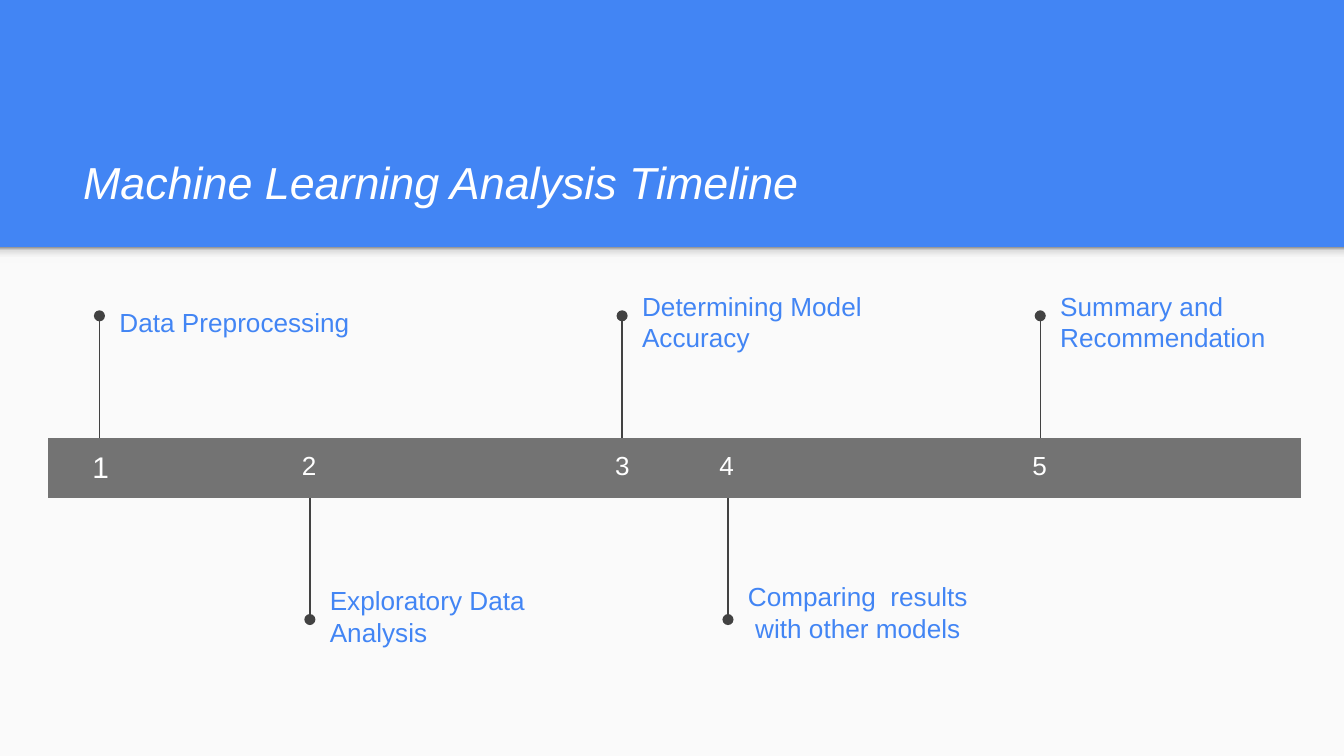
from lxml import etree
from pptx import Presentation
from pptx.dml.color import RGBColor
from pptx.enum import shapes, text
from pptx.oxml import ns
from pptx.util import Inches, Pt

# Content: column of the bar, label, top of the label box
TITLE = "Machine Learning Analysis Timeline"
COLUMNS = 12
STEPS = [
    (0, "Data Preprocessing", 2.18),
    (2, "Exploratory Data Analysis", 4.37),
    (5, "Determining Model Accuracy", 2.18),
    (6, "Comparing  results  \v with other models", 4.34),
    (9, "Summary and Recommendation", 2.18),
]
THEME = {
    "font": "Arial", "blue": "4285F4", "paper": "FAFAFA", "white": "FFFFFF",
    "line": "424242", "bar": "737373",
    "title": 24, "label": 14, "first": 16,
    "shade": [(0, "F9F9F9"), (36, "F9F9F9"), (80, "DEDEDE"), (100, "999999")],
}

# Layout in inches, on a 16:9 page
WIDTH, HEIGHT, HEADER = 10, 10 * 9 / 16, 1.84
BAR_X, BAR_Y, BAR_W, BAR_H = 0.36, 3.26, 9.32, 0.42
FIRST_X, PITCH, LOWER_SHIFT = 0.74, 7 / 9, 0.01
UPPER_DOT, LOWER_DOT, LOWER_START = 2.35, 4.61, 3.69


def color(name):
    return RGBColor.from_string(THEME[name])


def style(p, size, fill, italic=None):
    p.font.name, p.font.size, p.font.italic = THEME["font"], Pt(size), italic
    p.font.color.rgb = color(fill)


def add_rect(s, y, h):
    sp = s.shapes.add_shape(shapes.MSO_SHAPE.RECTANGLE, 0, Inches(y), Inches(WIDTH), Inches(h))
    sp.shadow.inherit = False
    sp.line.fill.background()
    return sp


def add_text(s, box, content, size, fill, anchor, italic=None):
    tf = s.shapes.add_textbox(*map(Inches, box)).text_frame
    tf.word_wrap, tf.vertical_anchor = True, anchor
    tf.margin_left = tf.margin_right = tf.margin_top = tf.margin_bottom = Inches(0.1)
    tf.text = ""
    p = tf.paragraphs[0]
    p.text = content  # a vertical tab becomes a line break
    style(p, size, fill, italic)


def add_stem(s, x, start, end):
    c = s.shapes.add_connector(shapes.MSO_CONNECTOR.STRAIGHT, *map(Inches, (x, start, x, end)))
    c.line.color.rgb, c.line.width = color("line"), Pt(0.75)
    etree.SubElement(c.line._get_or_add_ln(), ns.qn("a:tailEnd"), type="oval")
    etree.SubElement(c._element.spPr, ns.qn("a:effectLst"))


def shade(sp):
    sp.fill.gradient()
    sp.fill.gradient_angle = 90  # counter-clockwise: dark end on top
    stops = sp._element.spPr.find(".//" + ns.qn("a:gsLst"))
    for old in list(stops):
        stops.remove(old)
    for pos, rgb in THEME["shade"]:
        gs = etree.SubElement(stops, ns.qn("a:gs"), pos=str(pos * 1000))
        etree.SubElement(gs, ns.qn("a:srgbClr"), val=rgb)


def add_bar(s):
    frame = s.shapes.add_table(1, COLUMNS, *map(Inches, (BAR_X, BAR_Y, BAR_W, BAR_H)))
    table = frame.table
    table.first_row = table.horz_banding = False
    # "No Style, No Grid" keeps the bar free of cell borders
    style_id = table._tbl.tblPr.find(ns.qn("a:tableStyleId"))
    style_id.text = "{2D5ABB26-0587-4C30-8999-92F81FD0307C}"
    numbers = {step[0]: n for n, step in enumerate(STEPS, 1)}
    for i, cell in enumerate(table.rows[0].cells):
        cell.fill.solid()
        cell.fill.fore_color.rgb = color("bar")
        margin = Inches(0.1 if i in numbers else 0)
        cell.margin_left = cell.margin_right = cell.margin_top = margin
        cell.margin_bottom = min(margin, Inches(0.08))
        if i in numbers:
            cell.text = str(numbers[i])
            p = cell.text_frame.paragraphs[0]
            p.alignment = text.PP_ALIGN.CENTER
            style(p, THEME["first" if i == 0 else "label"], "white")


def main():
    prs = Presentation()
    prs.slide_width, prs.slide_height = Inches(WIDTH), Inches(HEIGHT)
    s = prs.slides.add_slide(prs.slide_layouts[6])

    # Blue header, pale body and the shade between them
    s.background.fill.solid()
    s.background.fill.fore_color.rgb = color("blue")
    body = add_rect(s, HEADER, HEIGHT - HEADER)
    body.fill.solid()
    body.fill.fore_color.rgb = color("paper")
    shade(add_rect(s, HEADER, 0.12))
    add_text(s, (0.52, 0.81, 8.99, 0.84), TITLE, THEME["title"], "white",
             text.MSO_ANCHOR.BOTTOM, italic=True)

    # Stems and labels, above or below the bar
    for column, label, top in STEPS:
        above = top < BAR_Y
        x = FIRST_X + column * PITCH + (0 if above else LOWER_SHIFT)
        add_stem(s, x, BAR_Y if above else LOWER_START, UPPER_DOT if above else LOWER_DOT)
        add_text(s, (x + 0.05, top, 1.98, 0.43), label, THEME["label"], "blue",
                 text.MSO_ANCHOR.MIDDLE)

    add_bar(s)
    prs.save("out.pptx")


if __name__ == "__main__":
    main()
